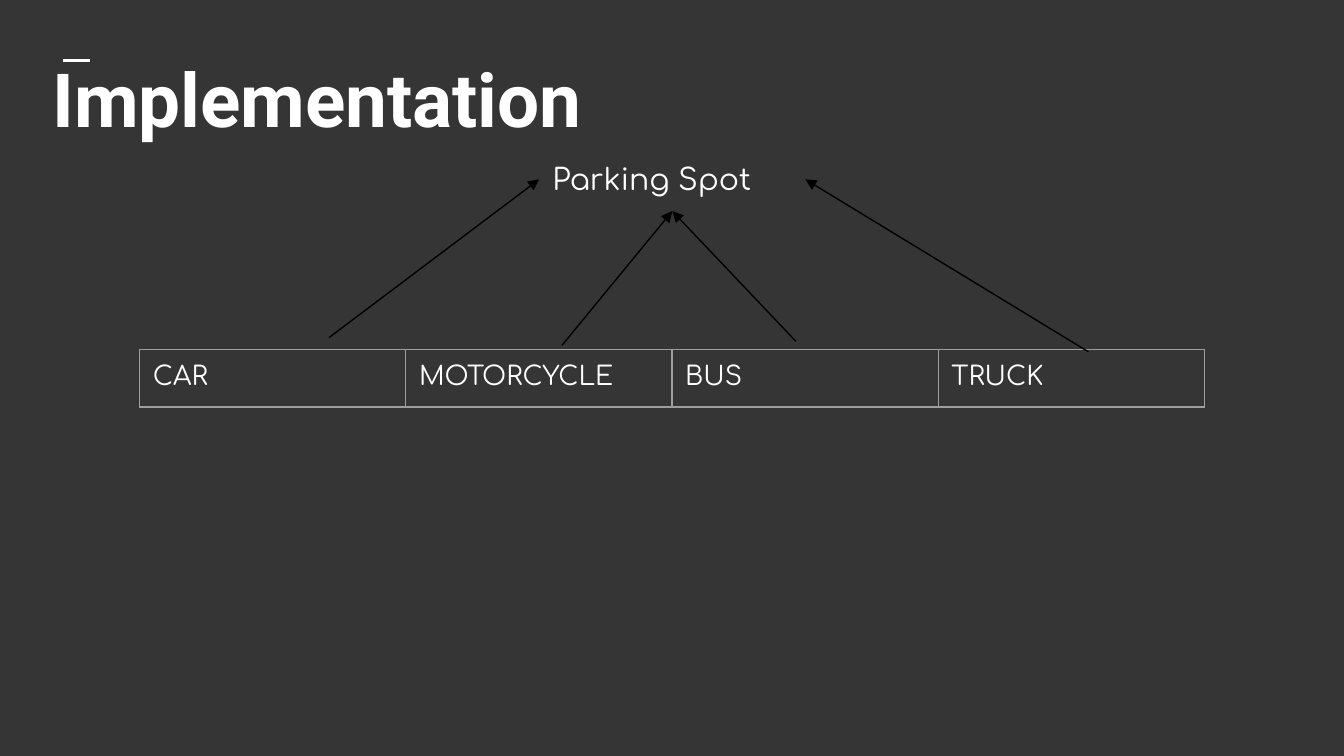
from lxml.etree import SubElement
from pptx import Presentation
from pptx.dml.color import RGBColor
from pptx.enum.shapes import MSO_CONNECTOR
from pptx.enum.text import MSO_ANCHOR, MSO_AUTO_SIZE, PP_ALIGN
from pptx.oxml.ns import qn
from pptx.util import Cm, Pt

BACKGROUND, WHITE, BLACK, GRID = "353535", "FFFFFF", "000000", "9E9E9E"
INSET = Cm(0.25)
VEHICLES = ["CAR", "MOTORCYCLE", "BUS", "TRUCK"]
SPOT_LEFT, SPOT_TOP, SPOT_WIDTH, SPOT_HEIGHT = 10.19, 2.79, 5.03, 1.2
COLUMN_WIDTH, ROW_HEIGHT = 5.03, 1.09


def color(hex_value):
    return RGBColor.from_string(hex_value)


def write(frame, text, font="Comfortaa", size=14, bold=False, fill=WHITE):
    frame.word_wrap = True
    paragraph = frame.paragraphs[0]
    paragraph.alignment = PP_ALIGN.LEFT
    run = paragraph.add_run()
    run.text = text
    run.font.name, run.font.size, run.font.bold = font, Pt(size), bold
    run.font.color.rgb = color(fill)


def set_insets(holder):
    holder.margin_left = holder.margin_right = INSET
    holder.margin_top = holder.margin_bottom = INSET
    holder.vertical_anchor = MSO_ANCHOR.TOP


def add_title(slide, text):
    title = slide.shapes.title
    title.left, title.top = Cm(0.74), Cm(0.74)
    title.width, title.height = Cm(23.95), Cm(11.84)
    set_insets(title.text_frame)
    title.text_frame.auto_size = MSO_AUTO_SIZE.NONE
    write(title.text_frame, text, font="Roboto", size=40, bold=True)


def add_label(slide, text):
    label = slide.shapes.add_textbox(
        Cm(SPOT_LEFT), Cm(SPOT_TOP), Cm(SPOT_WIDTH), Cm(SPOT_HEIGHT))
    set_insets(label.text_frame)
    write(label.text_frame, text, size=16)


def add_line(slide, start, end, stroke, width, arrow=False):
    line = slide.shapes.add_connector(
        MSO_CONNECTOR.STRAIGHT, *(Cm(value) for value in start + end))
    line.line.color.rgb = color(stroke)
    line.line.width = Pt(width)
    if arrow:
        SubElement(line.line._get_or_add_ln(), qn("a:tailEnd"), type="triangle")
    SubElement(line._element.spPr, qn("a:effectLst"))


def add_borders(cell, stroke, width):
    properties = cell._tc.get_or_add_tcPr()
    for side in ("lnL", "lnR", "lnT", "lnB"):
        border = SubElement(properties, qn(f"a:{side}"), w=str(Pt(width)))
        fill = SubElement(border, qn("a:solidFill"))
        SubElement(fill, qn("a:srgbClr"), val=stroke)


def add_vehicle_table(slide, vehicles):
    table = slide.shapes.add_table(
        1, len(vehicles), Cm(2.64), Cm(6.6),
        Cm(COLUMN_WIDTH * len(vehicles)), Cm(ROW_HEIGHT)).table
    table.first_row = table.horz_banding = False
    for column, vehicle in enumerate(vehicles):
        table.columns[column].width = Cm(COLUMN_WIDTH)
        cell = table.cell(0, column)
        set_insets(cell)
        add_borders(cell, GRID, 0.75)
        cell.fill.background()
        write(cell.text_frame, vehicle)


def main():
    deck = Presentation()
    deck.slide_width, deck.slide_height = Cm(25.4), Cm(14.29)
    slide = deck.slides.add_slide(deck.slide_layouts[5])
    slide.background.fill.solid()
    slide.background.fill.fore_color.rgb = color(BACKGROUND)

    # Heading with its accent rule
    add_line(slide, (1.19, 1.14), (1.7, 1.14), WHITE, 1.5)
    add_title(slide, "Implementation")

    # Parent class and its subclasses
    add_label(slide, "Parking Spot")
    add_vehicle_table(slide, VEHICLES)

    # Inheritance arrows, from each vehicle to the spot
    spot_middle = SPOT_TOP + SPOT_HEIGHT / 2
    left_side = (SPOT_LEFT, spot_middle)
    right_side = (SPOT_LEFT + SPOT_WIDTH, spot_middle)
    underside = (SPOT_LEFT + SPOT_WIDTH / 2, SPOT_TOP + SPOT_HEIGHT)
    for vehicle_point, spot_point in (
            ((6.22, 6.38), left_side),
            ((10.62, 6.53), underside),
            ((15.04, 6.45), underside),
            ((20.57, 6.65), right_side)):
        add_line(slide, vehicle_point, spot_point, BLACK, 0.75, arrow=True)

    deck.save("out.pptx")


main()
